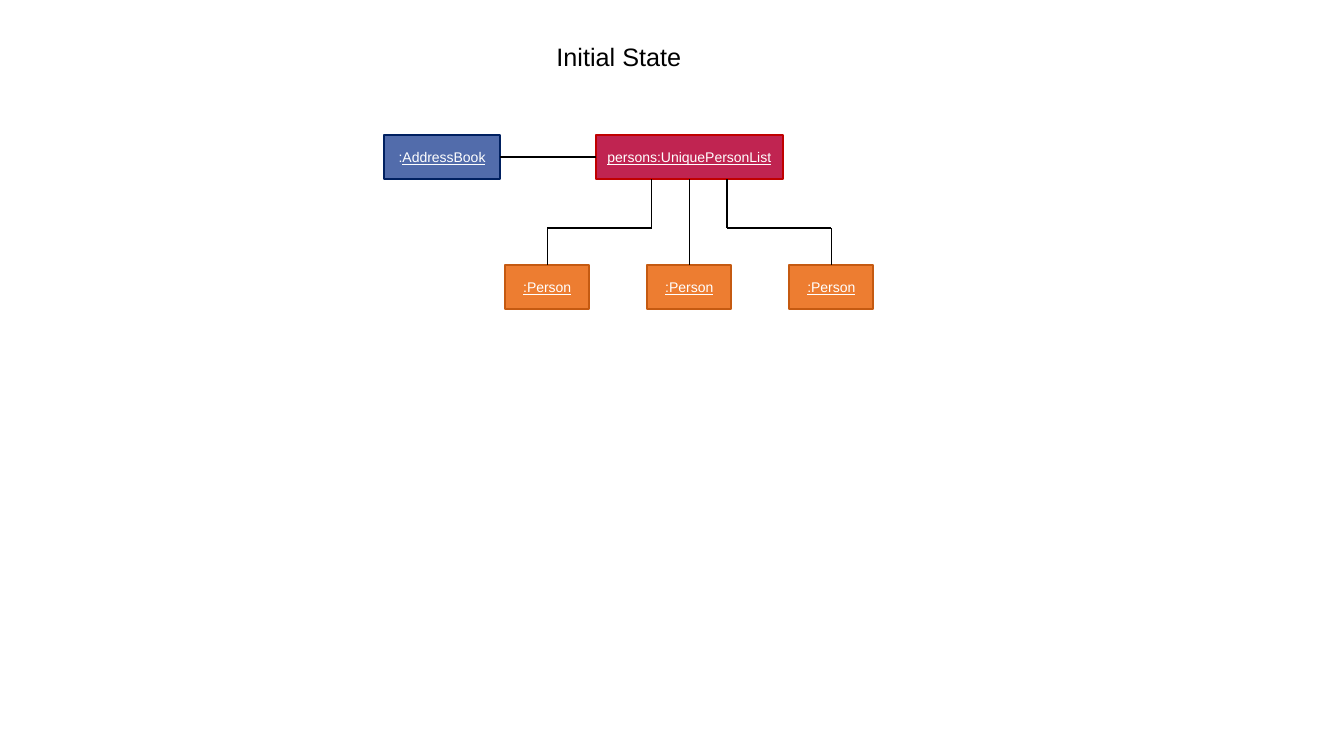
from lxml import etree
from pptx import Presentation
from pptx.dml.color import RGBColor
from pptx.enum.shapes import MSO_CONNECTOR, MSO_SHAPE
from pptx.enum.text import MSO_ANCHOR, MSO_AUTO_SIZE, PP_ALIGN
from pptx.oxml.ns import qn
from pptx.util import Cm, Pt

RECTANGLE = MSO_SHAPE.RECTANGLE
STRAIGHT = MSO_CONNECTOR.STRAIGHT
TOP, MIDDLE = MSO_ANCHOR.TOP, MSO_ANCHOR.MIDDLE
LEFT, CENTER = PP_ALIGN.LEFT, PP_ALIGN.CENTER
FIT_SHAPE = MSO_AUTO_SIZE.SHAPE_TO_FIT_TEXT

FONT = "Arial"
BLACK = RGBColor(0x00, 0x00, 0x00)
WHITE = RGBColor(0xFF, 0xFF, 0xFF)
BLUE, NAVY = RGBColor(0x52, 0x6C, 0xAB), RGBColor(0x00, 0x20, 0x60)
CRIMSON, RED = RGBColor(0xC0, 0x24, 0x51), RGBColor(0xC0, 0x00, 0x00)
ORANGE, BROWN = RGBColor(0xED, 0x7D, 0x31), RGBColor(0xC5, 0x5A, 0x11)

SITE_TOP, SITE_LEFT, SITE_BOTTOM, SITE_RIGHT = 0, 1, 2, 3
BOX_HEIGHT = Cm(1.12)


def format_run(run, size, color, underline=None):
    run.font.name = FONT
    run.font.size = Pt(size)
    run.font.color.rgb = color
    run.font.underline = underline


def place_title(slide, text, left, top, width, height):
    title = slide.shapes.title
    title.left, title.top, title.width, title.height = left, top, width, height
    frame = title.text_frame
    frame.text = text
    frame.word_wrap = True
    frame.auto_size = FIT_SHAPE
    frame.vertical_anchor = TOP
    frame.paragraphs[0].alignment = LEFT
    format_run(frame.paragraphs[0].runs[0], 18, BLACK)


def add_object(slide, label, left, top, width, fill, outline, prefix=""):
    """Add a UML object box; the prefix stays without underline."""
    box = slide.shapes.add_shape(RECTANGLE, left, top, width, BOX_HEIGHT)
    box.shadow.inherit = False
    box.fill.solid()
    box.fill.fore_color.rgb = fill
    box.line.color.rgb = outline
    box.line.width = Pt(1.5)
    frame = box.text_frame
    frame.margin_left = frame.margin_right = 0
    frame.vertical_anchor = MIDDLE
    paragraph = frame.paragraphs[0]
    paragraph.alignment = CENTER
    if prefix:
        paragraph.text = prefix
        format_run(paragraph.runs[0], 10, WHITE)
    name = paragraph.add_run()
    name.text = label
    format_run(name, 10, WHITE, underline=True)
    return box


def add_link(slide, start, end):
    link = slide.shapes.add_connector(STRAIGHT, *start, *end)
    link.line.color.rgb = BLACK
    link.line.width = Pt(1)
    etree.SubElement(link._element.spPr, qn("a:effectLst"))
    return link


def center_x(box):
    return box.left + box.width // 2


def link_person(slide, person_list, person, offset):
    """Link the list to a person, bending halfway if the exit is off centre."""
    exit_x = center_x(person_list) + offset
    person_x = center_x(person)
    list_bottom = person_list.top + person_list.height
    if not offset:
        link = add_link(slide, (exit_x, list_bottom), (person_x, person.top))
        link.begin_connect(person_list, SITE_BOTTOM)
        link.end_connect(person, SITE_TOP)
        return
    bend_y = person.top - Cm(0.92)
    add_link(slide, (exit_x, list_bottom), (exit_x, bend_y))
    add_link(slide, (exit_x, bend_y), (person_x, bend_y))
    drop = add_link(slide, (person_x, bend_y), (person_x, person.top))
    drop.end_connect(person, SITE_TOP)


def draw_object_diagram(slide, left, top):
    book = add_object(slide, "AddressBook", left, top, Cm(2.92), BLUE, NAVY, prefix=":")
    person_list = add_object(slide, "persons:UniquePersonList", left + Cm(5.33), top,
                             Cm(4.72), CRIMSON, RED)
    middle_y = top + BOX_HEIGHT // 2
    link = add_link(slide, (book.left + book.width, middle_y), (person_list.left, middle_y))
    link.begin_connect(book, SITE_RIGHT)
    link.end_connect(person_list, SITE_LEFT)

    person_width = Cm(2.12)
    for side in (-1, 0, 1):
        person_left = center_x(person_list) + side * Cm(3.58) - person_width // 2
        person = add_object(slide, ":Person", person_left, top + Cm(3.27),
                            person_width, ORANGE, BROWN)
        link_person(slide, person_list, person, side * Cm(0.95))


def main():
    presentation = Presentation()
    presentation.slide_width, presentation.slide_height = Cm(33.87), Cm(19.05)
    title_only = presentation.slide_layouts[5]
    slide = presentation.slides.add_slide(title_only)
    place_title(slide, "Initial State", Cm(13.77), Cm(0.91), Cm(4.29), Cm(1.03))
    draw_object_diagram(slide, Cm(9.68), Cm(3.4))
    presentation.save("out.pptx")


if __name__ == "__main__":
    main()
